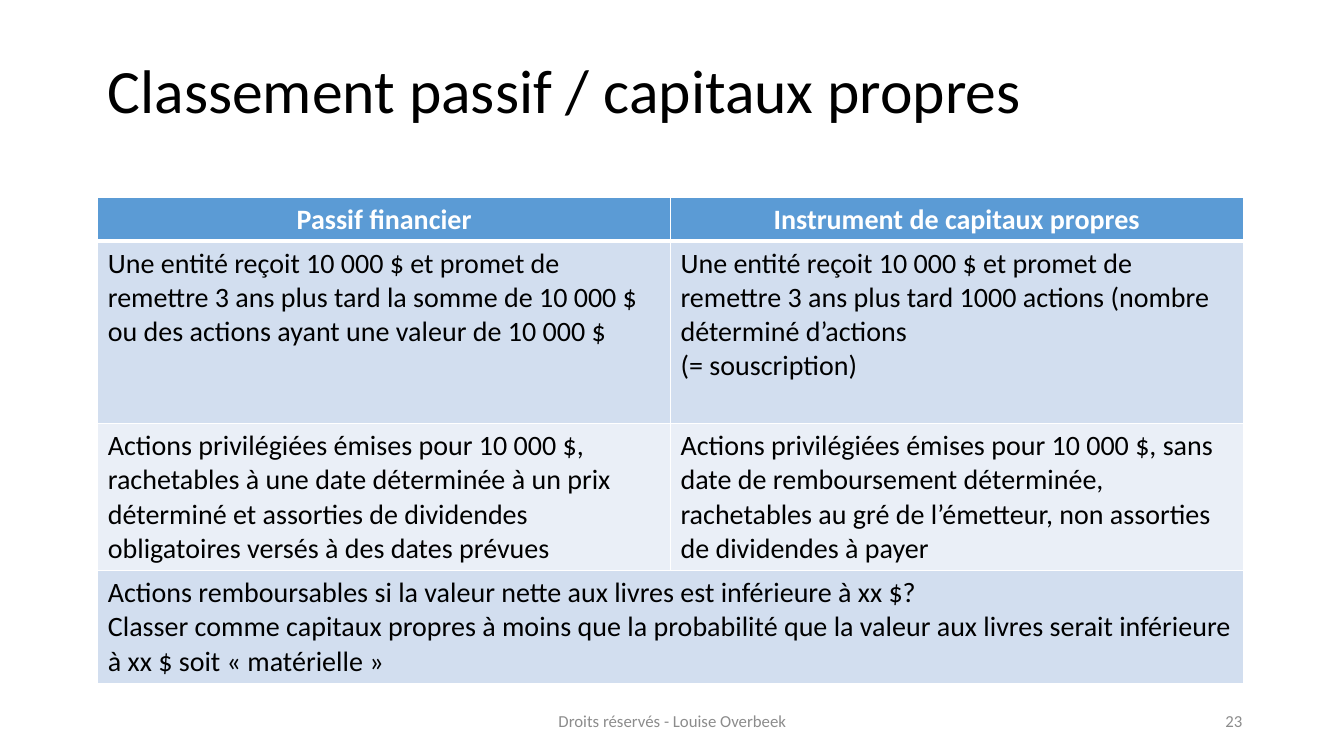
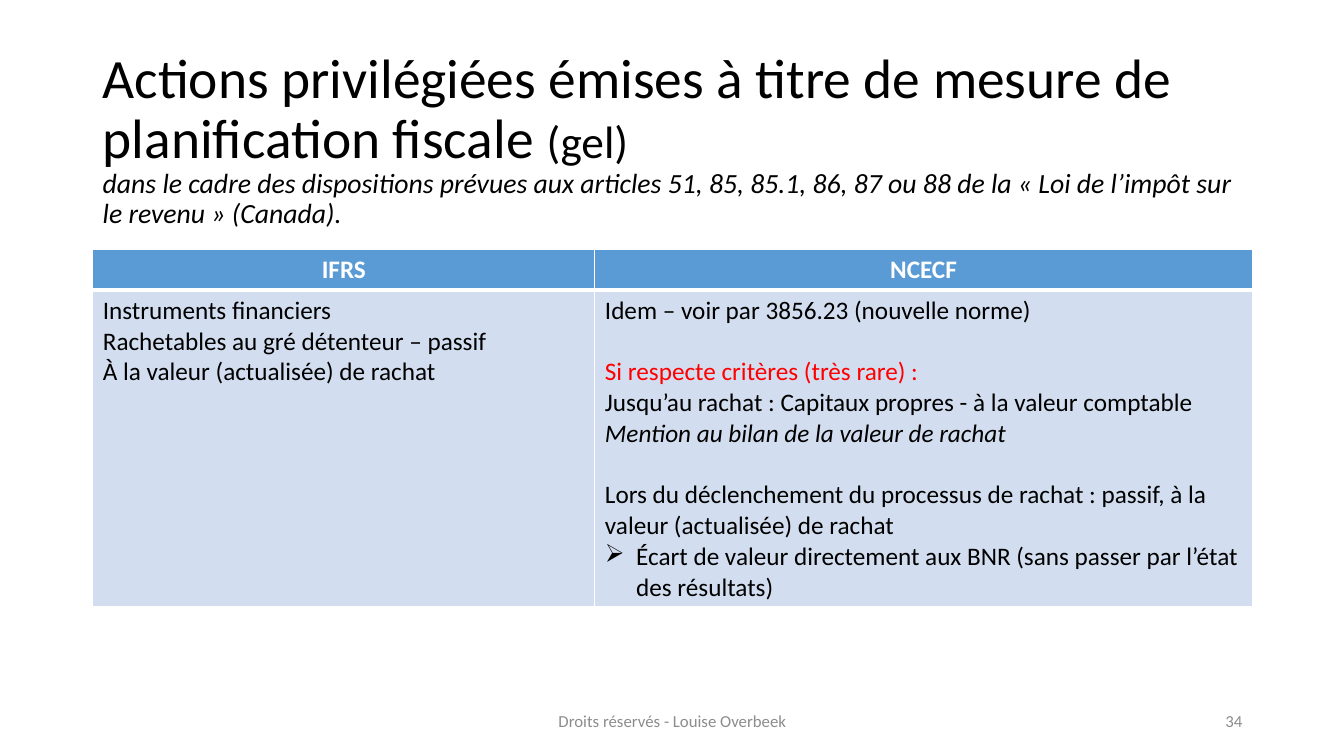
from lxml.etree import SubElement
from pptx import Presentation
from pptx.dml.color import RGBColor
from pptx.enum.text import MSO_ANCHOR, PP_ALIGN
from pptx.oxml.ns import qn
from pptx.util import Inches, Pt

BLACK = RGBColor(0x00, 0x00, 0x00)
WHITE = RGBColor(0xFF, 0xFF, 0xFF)
GRAY = RGBColor(0x8C, 0x8C, 0x8C)
RED = RGBColor(0xFF, 0x00, 0x00)
HEADER_BLUE = RGBColor(0x5B, 0x9B, 0xD5)
BAND_COLORS = (RGBColor(0xD2, 0xDE, 0xEF), RGBColor(0xEA, 0xEF, 0xF7))

FONT = "Calibri"
FOOTER = "Droits réservés - Louise Overbeek"
THIN, THICK = Pt(1), Pt(3)
BLANK_LINE = {"space_before": Pt(22)}
CENTERED = {"alignment": PP_ALIGN.CENTER}
TITLE_LAYOUT = {"line_spacing": 0.9}
HANGING_INDENT = Inches(0.31)


def apply_format(target, values):
    for name, value in values.items():
        setattr(target, name, value)


def add_run(paragraph, text, size, color=BLACK, **font_values):
    run = paragraph.add_run()
    run.text = text
    apply_format(run.font, {"name": FONT, "size": Pt(size), **font_values})
    run.font.color.rgb = color


def add_text_box(slide, left, top, width, height, layout):
    frame = slide.shapes.add_textbox(
        Inches(left), Inches(top), Inches(width), Inches(height)).text_frame
    apply_format(frame, {"word_wrap": True, "vertical_anchor": MSO_ANCHOR.MIDDLE})
    apply_format(frame.paragraphs[0], layout)
    return frame.paragraphs[0]


def add_footer(slide, number):
    for text, left, width, alignment in (
        (FOOTER, 4.42, 4.5, PP_ALIGN.CENTER),
        (number, 9.42, 3, PP_ALIGN.RIGHT),
    ):
        paragraph = add_text_box(slide, left, 6.95, width, 0.4, {"alignment": alignment})
        add_run(paragraph, text, 12, GRAY)


def add_bullet(paragraph, character):
    properties = paragraph._p.get_or_add_pPr()
    properties.set("marL", str(HANGING_INDENT))
    properties.set("indent", str(-HANGING_INDENT))
    SubElement(properties, qn("a:buChar"), char=character)


def set_borders(cell, top, bottom):
    properties = cell._tc.get_or_add_tcPr()
    for side, width in (("L", THIN), ("R", THIN), ("T", top), ("B", bottom)):
        line = SubElement(properties, qn(f"a:ln{side}"), w=str(width))
        fill = SubElement(line, qn("a:solidFill"))
        SubElement(fill, qn("a:srgbClr"), val=str(WHITE))


def fill_cell(cell, lines, size):
    for index, line in enumerate(lines):
        text, font_values, layout, bullet = line
        frame = cell.text_frame
        paragraph = frame.add_paragraph() if index else frame.paragraphs[0]
        if bullet:
            add_bullet(paragraph, bullet)
        apply_format(paragraph, layout)
        add_run(paragraph, text, size, **font_values)


def body(text, layout=None, bullet=None, **font_values):
    return text, font_values, layout or {}, bullet


def header(text):
    return [body(text, CENTERED, color=WHITE, bold=True)]


def add_table(slide, left, top, column_widths, row_heights, rows, size):
    table = slide.shapes.add_table(
        len(rows), len(column_widths), Inches(left), Inches(top),
        Inches(sum(column_widths)), Inches(sum(row_heights))).table
    apply_format(table, {"first_row": False, "horz_banding": False})
    for column, width in zip(table.columns, column_widths):
        column.width = Inches(width)
    for row_index, (row, height, contents) in enumerate(zip(table.rows, row_heights, rows)):
        row.height = Inches(height)
        color = BAND_COLORS[(row_index - 1) % 2] if row_index else HEADER_BLUE
        for cell in row.cells:
            set_borders(cell, THICK if row_index == 1 else THIN,
                        THIN if row_index else THICK)
            cell.fill.solid()
            cell.fill.fore_color.rgb = color
        if len(contents) < len(column_widths):
            table.cell(row_index, 0).merge(table.cell(row_index, len(column_widths) - 1))
        for column_index, lines in enumerate(contents):
            fill_cell(table.cell(row_index, column_index), lines, size)


def build_classification(slide):
    title = add_text_box(slide, 0.97, 0.3, 11.45, 1.25, TITLE_LAYOUT)
    add_run(title, "Classement passif / capitaux propres", 44)
    rows = [
        [header("Passif financier"), header("Instrument de capitaux propres")],
        [
            [body("Une entité reçoit 10 000 $ et promet de remettre 3 ans plus tard "
                  "la somme de 10 000 $ ou des actions ayant une valeur de 10 000 $")],
            [body("Une entité reçoit 10 000 $ et promet de remettre 3 ans plus tard "
                  "1000 actions (nombre déterminé d’actions"),
             body("(= souscription)")],
        ],
        [
            [body("Actions privilégiées émises pour 10 000 $, rachetables à une date "
                  "déterminée à un prix déterminé et assorties de dividendes "
                  "obligatoires versés à des dates prévues")],
            [body("Actions privilégiées émises pour 10 000 $, sans date de "
                  "remboursement déterminée, rachetables au gré de l’émetteur, "
                  "non assorties de dividendes à payer")],
        ],
        [
            [body("Actions remboursables si la valeur nette aux livres est inférieure à xx $?"),
             body("Classer comme capitaux propres à moins que la probabilité que la valeur "
                  "aux livres serait inférieure à xx $ soit « matérielle »")],
        ],
    ]
    add_table(slide, 0.97, 1.96, [5.68, 5.68], [0.43, 1.81, 1.46, 1.12], rows, 20)


def build_tax_planning(slide):
    title = add_text_box(slide, 0.92, 0.4, 11.5, 1.98, TITLE_LAYOUT)
    add_run(title, "Actions privilégiées émises à titre de mesure de planification fiscale ", 39.6)
    add_run(title, "(gel)", 32.4)
    title.add_line_break()
    add_run(title, "dans le cadre des dispositions prévues aux articles 51, 85, 85.1, 86, 87 "
            "ou 88 de la « Loi de l’impôt sur le revenu » (Canada).", 19.8, italic=True)
    rows = [
        [header("IFRS"), header("NCECF")],
        [
            [body("Instruments financiers"),
             body("Rachetables au gré détenteur – passif"),
             body("À la valeur (actualisée) de rachat")],
            [body("Idem – voir par 3856.23 (nouvelle norme)"),
             body("Si respecte critères (très rare) :", BLANK_LINE, color=RED),
             body("Jusqu’au rachat : Capitaux propres - à la valeur comptable"),
             body("Mention au bilan de la valeur de rachat", italic=True),
             body("Lors du déclenchement du processus de rachat : passif, à la valeur "
                  "(actualisée) de rachat", BLANK_LINE),
             body("Écart de valeur directement aux BNR (sans passer par l’état des "
                  "résultats)", bullet="➢")],
        ],
    ]
    add_table(slide, 0.92, 2.47, [4.98, 6.52], [0.41, 3.14], rows, 18)


def main():
    presentation = Presentation()
    apply_format(presentation, {"slide_width": Inches(13.33), "slide_height": Inches(7.5)})
    for build, number in ((build_classification, "23"), (build_tax_planning, "34")):
        slide = presentation.slides.add_slide(presentation.slide_layouts[6])
        build(slide)
        add_footer(slide, number)
    presentation.save("out.pptx")


if __name__ == "__main__":
    main()
